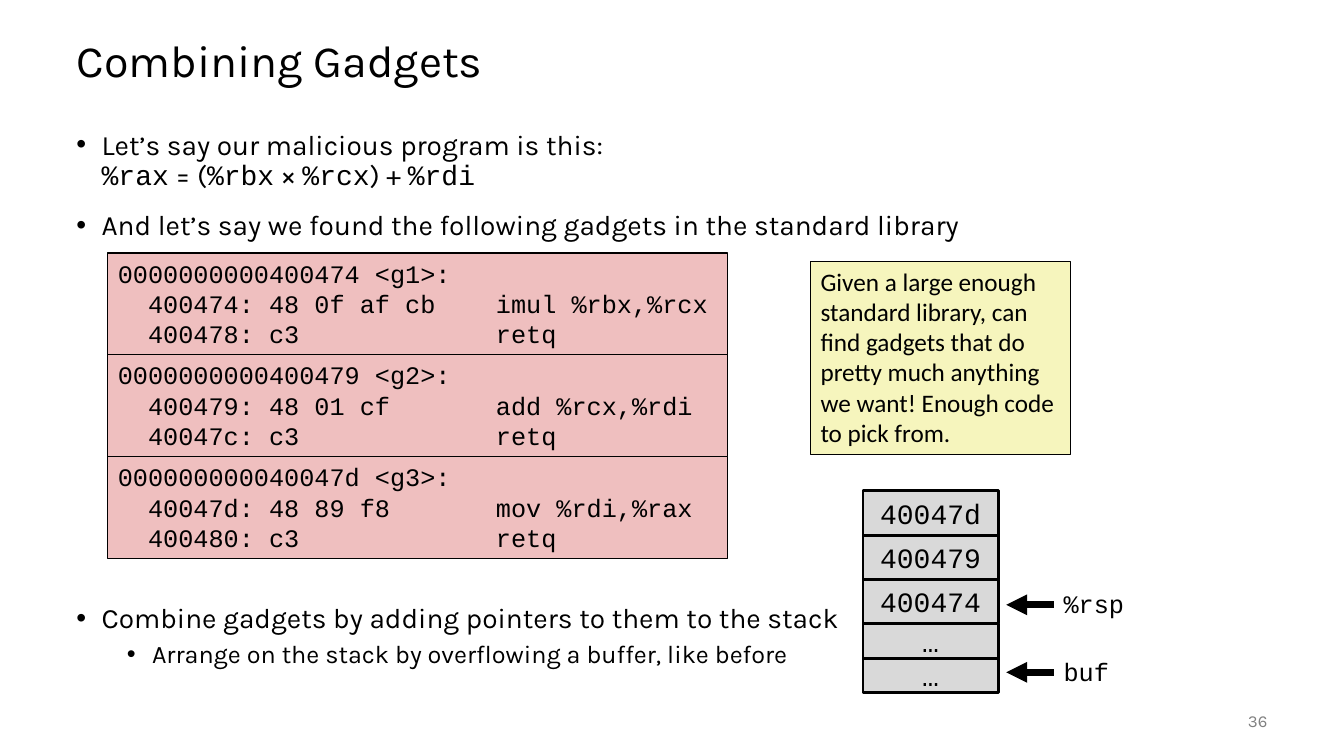
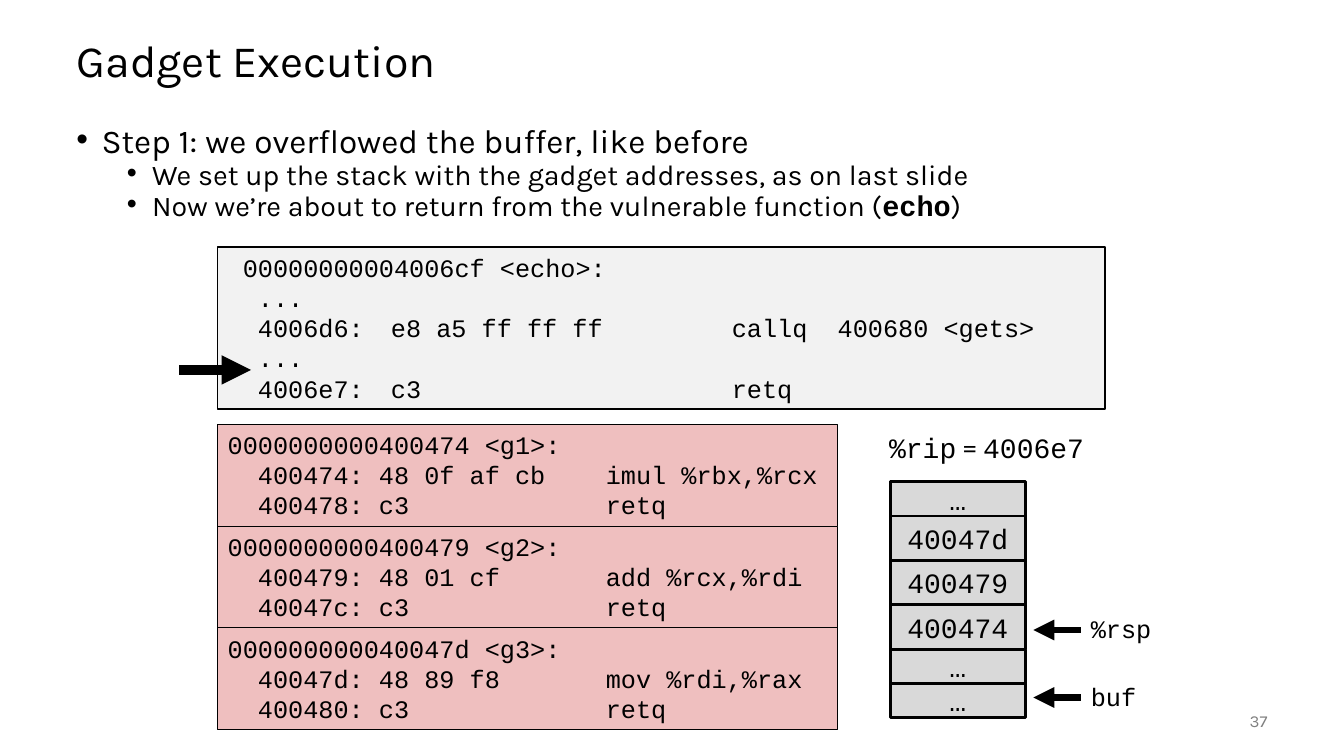
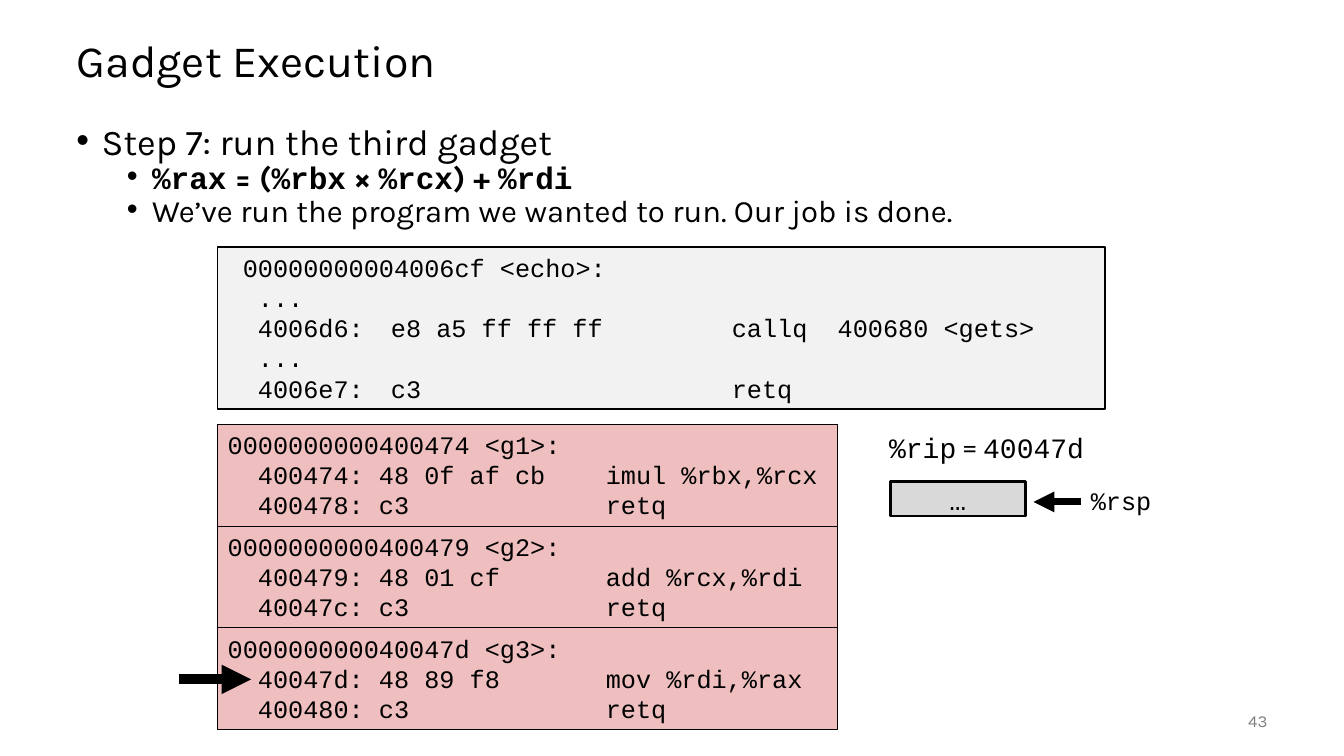
from dataclasses import dataclass

from lxml.etree import SubElement
from pptx import Presentation
from pptx.dml.color import RGBColor
from pptx.enum.shapes import MSO_CONNECTOR, MSO_SHAPE
from pptx.enum.text import MSO_ANCHOR, MSO_AUTO_SIZE, PP_ALIGN
from pptx.oxml.ns import qn
from pptx.util import Emu, Pt

PX = 9144  # 100 px to the inch
TITLE_ONLY = 5


@dataclass(frozen=True)
class Theme:
    # Colours
    ink: str = "000000"
    muted: str = "808080"
    gadget: str = "EFBFBF"
    note: str = "F6F5BD"
    listing: str = "F2F2F2"
    cell: str = "D9D9D9"
    # Fonts
    sans: str = "Karla"
    mono: str = "Courier New"
    plain: str = "Calibri"
    # Type sizes
    title: int = 32
    text: int = 20
    code: int = 18
    number: int = 12


THEME = Theme()

GADGETS = [
    "0000000000400474 <g1>:\n"
    "  400474: 48 0f af cb    imul %rbx,%rcx\n"
    "  400478: c3             retq",
    "0000000000400479 <g2>:\n"
    "  400479: 48 01 cf       add %rcx,%rdi\n"
    "  40047c: c3             retq",
    "000000000040047d <g3>:\n"
    "  40047d: 48 89 f8       mov %rdi,%rax\n"
    "  400480: c3             retq",
]
ECHO = (
    " 00000000004006cf <echo>:\n"
    "  ...\n"
    "  4006d6:\te8 a5 ff ff ff\tcallq  400680 <gets>\n"
    "  ...\n"
    "  4006e7:\tc3\tretq"
)
ECHO_TABS = (162, 500)
NOTE = (
    "Given a large enough\vstandard library, can\vfind gadgets that do\v"
    "pretty much anything\vwe want! Enough code\vto pick from."
)
FORMULA = "`%rax` = (`%rbx` × `%rcx`) + `%rdi`"
ADDRESSES = ["40047d", "400479", "400474"]
GAP = "…"


def px(*lengths):
    return [Emu(length * PX) for length in lengths]


def style(run, size, font, color=THEME.ink, bold=False):
    run.font.size = Pt(size)
    run.font.name = font
    run.font.bold = bold
    run.font.color.rgb = RGBColor.from_string(color)


def fill_frame(frame, text, size, font, color=THEME.ink,
               align=PP_ALIGN.LEFT, anchor=MSO_ANCHOR.TOP):
    frame.text = text
    frame.word_wrap = True
    frame.auto_size = MSO_AUTO_SIZE.NONE
    frame.vertical_anchor = anchor
    for paragraph in frame.paragraphs:
        paragraph.alignment = align
        for run in paragraph.runs:
            style(run, size, font, color)


def add_label(slide, box, text, size, font, **options):
    label = slide.shapes.add_textbox(*px(*box))
    fill_frame(label.text_frame, text, size, font, **options)


def add_box(slide, box, fill, line_width, text, size, font, **options):
    panel = slide.shapes.add_shape(MSO_SHAPE.RECTANGLE, *px(*box))
    panel.shadow.inherit = False
    panel.fill.solid()
    panel.fill.fore_color.rgb = RGBColor.from_string(fill)
    panel.line.color.rgb = RGBColor.from_string(THEME.ink)
    panel.line.width = Pt(line_width)
    fill_frame(panel.text_frame, text, size, font, **options)
    return panel


def add_arrow(slide, start_x, end_x, y, width):
    arrow = slide.shapes.add_connector(
        MSO_CONNECTOR.STRAIGHT, *px(start_x, y, end_x, y))
    arrow.line.color.rgb = RGBColor.from_string(THEME.ink)
    arrow.line.width = Pt(width)
    SubElement(arrow.line._get_or_add_ln(), qn("a:tailEnd"), type="triangle")
    SubElement(arrow._element.spPr, qn("a:effectLst"))


def add_marked_runs(paragraph, marked, size):
    """Asterisks enclose bold text, backticks enclose code, \\v breaks a line."""
    for bold_index, part in enumerate(marked.split("*")):
        for code_index, piece in enumerate(part.split("`")):
            font = THEME.mono if code_index % 2 else THEME.sans
            for line_index, line in enumerate(piece.split("\v")):
                if line_index:
                    paragraph.add_line_break()
                if line:
                    run = paragraph.add_run()
                    run.text = line
                    style(run, size, font, bold=bold_index % 2 == 1)


def add_bullets(slide, top, height, items, sizes, spacing):
    """Items are pairs of level and marked text."""
    frame = slide.shapes.add_textbox(*px(66, top, 1200, height)).text_frame
    frame.word_wrap = True
    for index, (level, marked) in enumerate(items):
        paragraph = frame.add_paragraph() if index else frame.paragraphs[0]
        properties = paragraph._p.get_or_add_pPr()
        properties.set("marL", str((25 + 50 * level) * PX))
        properties.set("indent", str(-25 * PX))
        SubElement(properties, qn("a:buFont"), typeface="Arial")
        SubElement(properties, qn("a:buChar"), char="•")
        paragraph.level = level
        paragraph.line_spacing = spacing
        if index:
            paragraph.space_before = Pt((14, 5)[level])
        add_marked_runs(paragraph, marked, sizes[level])


def add_slide(deck, title, number):
    slide = deck.slides.add_slide(deck.slide_layouts[TITLE_ONLY])
    heading = slide.shapes.title
    heading.left, heading.top, heading.width, heading.height = px(66, 25, 1200, 75)
    fill_frame(heading.text_frame, title, THEME.title, THEME.sans,
               anchor=MSO_ANCHOR.MIDDLE)
    heading.text_frame.paragraphs[0].line_spacing = 0.9
    add_label(slide, (1167, 695, 100, 40), str(number), THEME.number, THEME.sans,
              color=THEME.muted, align=PP_ALIGN.RIGHT, anchor=MSO_ANCHOR.MIDDLE)
    return slide


def add_gadgets(slide, left, top):
    for index, gadget in enumerate(GADGETS):
        add_box(slide, (left, top + 101 * index, 615, 101), THEME.gadget, 0.75,
                gadget, THEME.code, THEME.mono)


def add_stack(slide, left, top, cells, pointers):
    """Pointers map a cell index to a register label and an arrow offset."""
    for index, value in enumerate(cells):
        height = 34 if value == GAP else 44
        add_box(slide, (left, top, 134, height), THEME.cell, 2, value,
                THEME.text, THEME.mono,
                align=PP_ALIGN.CENTER, anchor=MSO_ANCHOR.MIDDLE)
        if index in pointers:
            name, offset = pointers[index]
            y = top + height // 2 + offset
            add_arrow(slide, left + 189, left + 142, y, 5)
            add_label(slide, (left + 189, y - 21, 102, 40), name,
                      THEME.code, THEME.mono)
        top += height


def add_echo(slide):
    echo = add_box(slide, (216, 245, 880, 161), THEME.listing, 1, ECHO,
                   THEME.code, THEME.mono)
    for paragraph in echo.text_frame.paragraphs:
        tabs = SubElement(paragraph._p.get_or_add_pPr(), qn("a:tabLst"))
        for stop in ECHO_TABS:
            SubElement(tabs, qn("a:tab"), pos=str(stop * PX), algn="l")


def add_execution_slide(deck, number, items, sizes, rip, rip_y, cells, pointers):
    slide = add_slide(deck, "Gadget Execution", number)
    add_bullets(slide, 125, 109, items, sizes, 0.7)
    add_gadgets(slide, 216, 421)
    add_echo(slide)
    add_arrow(slide, 178, 249, rip_y, 7)
    # Instruction pointer
    add_label(slide, (872, 422, 230, 44), "", THEME.text, THEME.mono)
    register = slide.shapes[-1].text_frame.paragraphs[0]
    for text, font in (("%rip", THEME.mono), (" = ", THEME.plain), (rip, THEME.mono)):
        run = register.add_run()
        run.text = text
        style(run, THEME.text, font)
    add_stack(slide, 883, 478, cells, pointers)


def add_combining_slide(deck):
    slide = add_slide(deck, "Combining Gadgets", 36)
    sizes = (THEME.text, THEME.code)
    add_bullets(slide, 125, 120, [
        (0, "Let’s say our malicious program is this:\v" + FORMULA),
        (0, "And let’s say we found the following gadgets in the standard library"),
    ], sizes, 0.9)
    add_bullets(slide, 595, 80, [
        (0, "Combine gadgets by adding pointers to them to the stack"),
        (1, "Arrange on the stack by overflowing a buffer, like before"),
    ], sizes, 0.9)
    add_gadgets(slide, 107, 251)
    add_box(slide, (804, 259, 258, 192), THEME.note, 0.75, NOTE,
            THEME.code, THEME.plain)
    add_stack(slide, 856, 487, ADDRESSES + [GAP, GAP],
              {2: ("%rsp", 3), 4: ("buf", -3)})


def main():
    deck = Presentation()
    deck.slide_width, deck.slide_height = px(1333, 750)
    add_combining_slide(deck)
    # Before the return from echo
    add_execution_slide(deck, 37, [
        (0, "Step 1: we overflowed the buffer, like before"),
        (1, "We set up the stack with the gadget addresses, as on last slide"),
        (1, "Now we’re about to return from the vulnerable function (*`echo`*)"),
    ], (23.8, 20.4), "4006e7", 367, [GAP] + ADDRESSES + [GAP, GAP],
        {3: ("%rsp", 3), 5: ("buf", -3)})
    # Third gadget
    add_execution_slide(deck, 43, [
        (0, "Step 7: run the third gadget"),
        (1, f"*{FORMULA}*"),
        (1, "We’ve run the program we wanted to run. Our job is done."),
    ], (25.9, 22.2), "40047d", 674, [GAP], {0: ("%rsp", 3)})
    deck.save("out.pptx")


if __name__ == "__main__":
    main()
